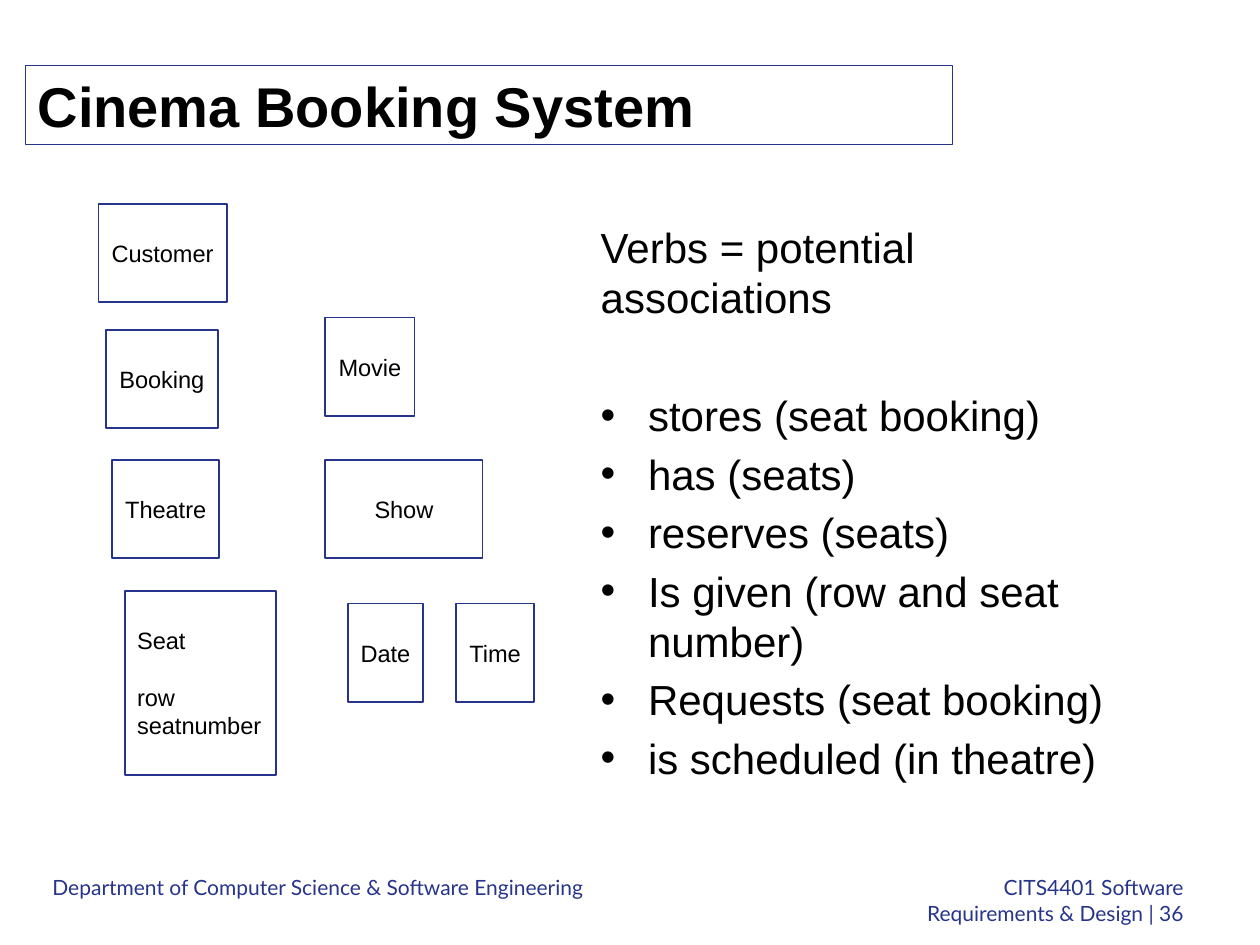
"""Build the cinema booking slide: candidate classes and potential associations."""
from pptx import Presentation
from pptx.dml.color import RGBColor
from pptx.enum.shapes import MSO_SHAPE as SHAPE
from pptx.enum.text import MSO_ANCHOR as ANCHOR, PP_ALIGN as ALIGN
from pptx.oxml.ns import qn
from pptx.util import Pt
from lxml import etree

BLACK = RGBColor(0x00, 0x00, 0x00)
NAVY = RGBColor(0x27, 0x34, 0x8B)

TITLE = {"name": "Arial", "size": Pt(32), "bold": True}
CLASS = {"name": "Arial", "size": Pt(13.5)}
BODY = {"name": "Arial", "size": Pt(24)}
FOOTER = {"name": "Lato", "size": Pt(12)}


def add_text(tf, lines, font, color=BLACK, **paragraph):
    for i, line in enumerate(lines):
        p = tf.paragraphs[0] if i == 0 else tf.add_paragraph()
        for key, value in paragraph.items():
            setattr(p, key, value)
        r = p.add_run()
        r.text = line
        for key, value in font.items():
            setattr(r.font, key, value)
        r.font.color.rgb = color


def add_frame(x, y, w, h, weight):
    s = sp.add_shape(SHAPE.RECTANGLE, Pt(x), Pt(y), Pt(w), Pt(h))
    s.shadow.inherit = False
    s.fill.background()
    s.line.color.rgb = NAVY
    s.line.width = Pt(weight)
    s.text_frame.vertical_anchor = ANCHOR.MIDDLE
    return s.text_frame


prs = Presentation()
prs.slide_width, prs.slide_height = Pt(720), Pt(540)
sp = prs.slides.add_slide(prs.slide_layouts[6]).shapes

footers = [
    (30, 320, ALIGN.LEFT, "Department of Computer Science & Software Engineering"),
    (516.5, 160, ALIGN.RIGHT, "CITS4401 Software Requirements & Design | 36"),
]
for x, w, align, text in footers:
    tf = sp.add_textbox(Pt(x), Pt(500), Pt(w), Pt(29)).text_frame
    tf.word_wrap = True
    tf.margin_left = tf.margin_right = tf.margin_top = tf.margin_bottom = 0
    add_text(tf, [text], FOOTER, NAVY, alignment=align)

tf = add_frame(14.4, 37.5, 530, 45.3, 0.75)
add_text(tf, ["Cinema Booking System"], TITLE, alignment=ALIGN.LEFT)

classes = [
    ("Customer", 56.2, 116.6, 73.4),
    ("Booking", 60.5, 188.6, 64),
    ("Theatre", 64.1, 262.8, 61.2),
    ("Movie", 185.8, 181.4, 51.1),
    ("Show", 185.8, 262.8, 90),
    ("Date", 198.7, 344.9, 43.2),
    ("Time", 260.6, 344.9, 44.6),
]
for name, x, y, w in classes:
    tf = add_frame(x, y, w, 56.2, 1)
    tf.word_wrap = False
    add_text(tf, [name], CLASS, alignment=ALIGN.CENTER)

tf = add_frame(71.3, 337.7, 86.4, 105.1, 1)
tf.word_wrap = False
add_text(tf, ["Seat", "row", "seatnumber"], CLASS,
         alignment=ALIGN.LEFT, line_spacing=Pt(16.2))
tf.paragraphs[1].space_before = Pt(16.2)

tf = sp.add_textbox(Pt(336.2), Pt(123.4), Pt(318.2), Pt(363.6)).text_frame
tf.word_wrap = True
verbs = [
    "stores (seat booking)",
    "has (seats)",
    "reserves (seats)",
    "Is given (row and seat number)",
    "Requests (seat booking)",
    "is scheduled (in theatre)",
]
add_text(tf, ["Verbs = potential associations"] + verbs, BODY, line_spacing=Pt(28.6))
for p in tf.paragraphs[1:]:
    p.space_before = Pt(4.8)
    pPr = p._p.get_or_add_pPr()
    pPr.set("marL", str(Pt(27)))
    pPr.set("indent", str(-Pt(27)))
    etree.SubElement(pPr, qn("a:buFont"), typeface="Arial")
    etree.SubElement(pPr, qn("a:buChar"), char="•")
tf.paragraphs[1].space_before = Pt(38.8)

prs.save("out.pptx")
